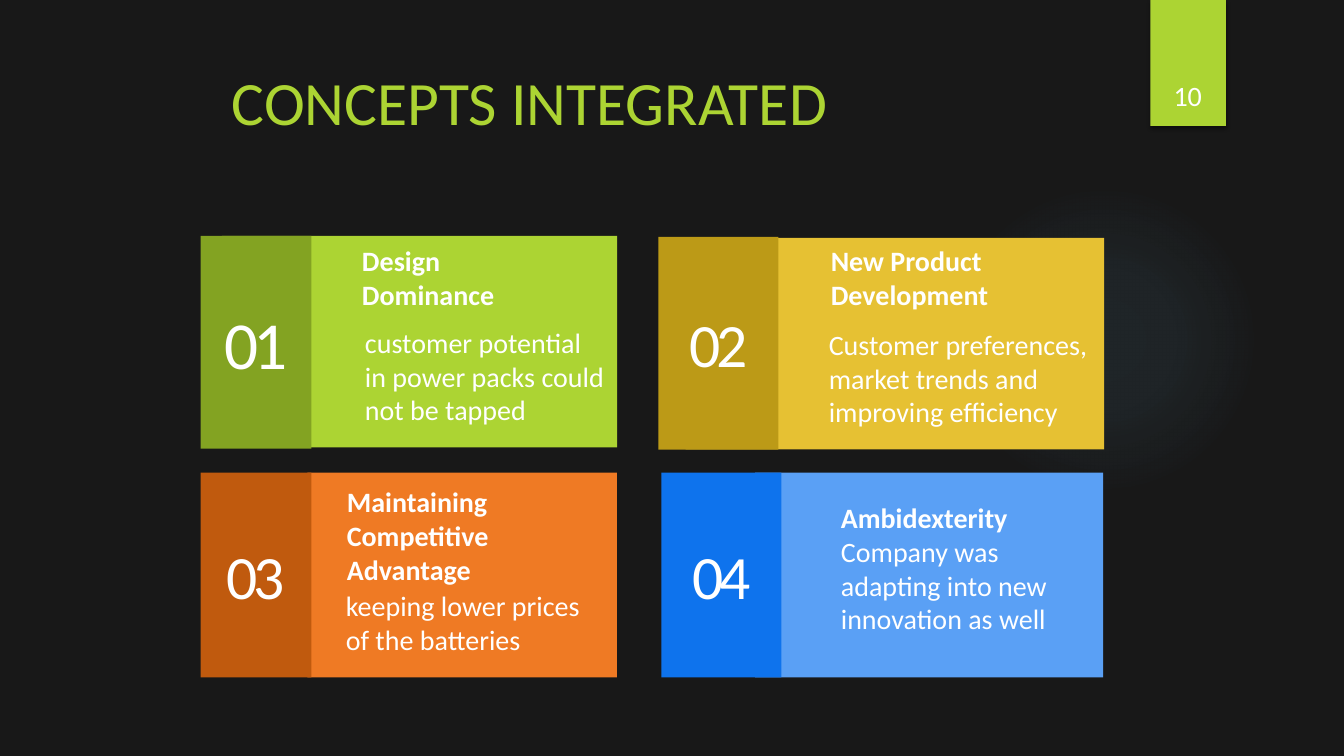
from dataclasses import dataclass

from lxml import etree
from pptx import Presentation
from pptx.dml.color import RGBColor
from pptx.enum.shapes import MSO_SHAPE as SHAPE
from pptx.enum.text import MSO_ANCHOR as ANCHOR, PP_ALIGN as ALIGN
from pptx.oxml import parse_xml
from pptx.oxml.ns import nsdecls
from pptx.util import Inches, Pt

FONT, WHITE, LIME = "Calibri", "FFFFFF", "ACD433"
Box = tuple[float, float, float, float]


@dataclass
class Note:
    box: Box
    lines: list[tuple[str, bool]]  # text, bold


@dataclass
class Card:
    number: str
    size: int
    label: Box
    label_color: str
    panel: Box
    panel_color: str
    notes: list[Note]


CARDS = [
    Card("01", 48, (1.99, 2.34, 1.1, 2.11), "83A322", (2.2, 2.34, 3.92, 2.1), LIME, [
        Note((3.59, 2.42, 1.75, 0.7), [("Design Dominance", True)]),
        Note((3.62, 3.23, 2.4, 1.05),
             [("customer potential in power packs could not be tapped", False)])]),
    Card("02", 44, (6.53, 2.35, 1.19, 2.11), "BC9A17", (6.8, 2.36, 4.15, 2.1), "E6C133", [
        Note((8.24, 2.42, 1.7, 0.7), [("New Product Development", True)]),
        Note((8.22, 3.25, 2.65, 1.05),
             [("Customer preferences, market trends and improving efficiency", False)])]),
    Card("03", 44, (1.99, 4.69, 1.1, 2.03), "C05A0E", (3.05, 4.69, 3.07, 2.03), "EF7A24", [
        Note((3.44, 4.81, 1.6, 1.05), [("Maintaining Competitive Advantage", True)]),
        Note((3.43, 5.84, 2.45, 0.7), [("keeping lower prices of the batteries", False)])]),
    Card("04", 44, (6.56, 4.69, 1.19, 2.03), "0E73ED", (7.49, 4.69, 3.45, 2.03), "5AA0F5", [
        Note((8.34, 4.97, 2.2, 1.4), [
            ("Ambidexterity", True),
            ("Company was adapting into new innovation as well", False)])]),
]


def rgb(value: str) -> RGBColor:
    return RGBColor.from_string(value)


def add_block(box: Box, color: str, kind=SHAPE.RECTANGLE):
    sp = s.shapes.add_shape(kind, *map(Inches, box))
    sp.shadow.inherit = False
    sp.fill.solid()
    sp.fill.fore_color.rgb = rgb(color)
    sp.line.fill.background()
    return sp


def write(sp, lines: list[tuple[str, bool]], size: int = 20, color: str = WHITE,
          align=ALIGN.LEFT, anchor=ANCHOR.TOP, spacing: int = 0) -> None:
    tf = sp.text_frame
    layout = {"word_wrap": True, "vertical_anchor": anchor, "margin_left": 0,
              "margin_right": 0, "margin_top": 0, "margin_bottom": 0}
    for name, value in layout.items():
        setattr(tf, name, value)
    for i, (text, bold) in enumerate(lines):
        p = tf.add_paragraph() if i else tf.paragraphs[0]
        p.alignment = align
        r = p.add_run()
        r.text = text
        for name, value in {"name": FONT, "size": Pt(size), "bold": bold}.items():
            setattr(r.font, name, value)
        r.font.color.rgb = rgb(color)
        if spacing:
            r.font._element.set("spc", str(spacing * 100))


def add_text(box: Box, lines: list[tuple[str, bool]], **style) -> None:
    write(s.shapes.add_textbox(*map(Inches, box)), lines, **style)


def add_glow(box: Box, color: str, stops: dict[int, int]) -> None:
    """Circle that fades outward; stops map position to opacity, in percent."""
    sp = add_block(box, color, SHAPE.OVAL)
    gs = "".join(f'<a:gs pos="{pos * 1000}"><a:srgbClr val="{color}">'
                 f'<a:alpha val="{alpha * 1000}"/></a:srgbClr></a:gs>'
                 for pos, alpha in stops.items())
    grad = parse_xml(
        f'<a:gradFill {nsdecls("a")}><a:gsLst>{gs}</a:gsLst><a:path path="circle">'
        '<a:fillToRect l="50000" t="50000" r="50000" b="50000"/></a:path></a:gradFill>')
    spPr = sp._element.spPr
    spPr.replace(spPr.find("{*}solidFill"), grad)


def add_shadow(sp, opacity: int, blur: int, dist: int) -> None:
    effects = sp._element.spPr.find("{*}effectLst")
    effects.append(etree.fromstring(
        f'<a:outerShdw {nsdecls("a")} blurRad="{Pt(blur)}" dist="{Pt(dist)}" '
        'dir="5400000" rotWithShape="0"><a:srgbClr val="000000">'
        f'<a:alpha val="{opacity * 1000}"/></a:srgbClr></a:outerShdw>'))


prs = Presentation()
prs.slide_width, prs.slide_height = Inches(13.33), Inches(7.5)
s = prs.slides.add_slide(prs.slide_layouts[6])
s.background.fill.solid()
s.background.fill.fore_color.rgb = rgb("181818")

# Backdrop glow and page tag
add_glow((9.41, 1.83, 3.08, 3.08), "7AC4F0", {0: 7, 36: 6, 69: 0, 100: 0})
tag = add_block((11.41, 0, 0.75, 1.25), LIME)
add_shadow(tag, opacity=45, blur=3, dist=2)
add_text((11.32, 0.32, 0.92, 0.79), [("10", False)], align=ALIGN.CENTER, anchor=ANCHOR.BOTTOM)

# Title
add_text((2.3, 0.63, 10.09, 0.8), [("CONCEPTS INTEGRATED", False)], size=44, color=LIME)

# Numbered cards
for card in CARDS:
    add_block(card.panel, card.panel_color)
    label = add_block(card.label, card.label_color)
    write(label, [(card.number, False)], size=card.size, align=ALIGN.CENTER,
          anchor=ANCHOR.MIDDLE, spacing=-3)
    for note in card.notes:
        add_text(note.box, note.lines)

prs.save("out.pptx")
